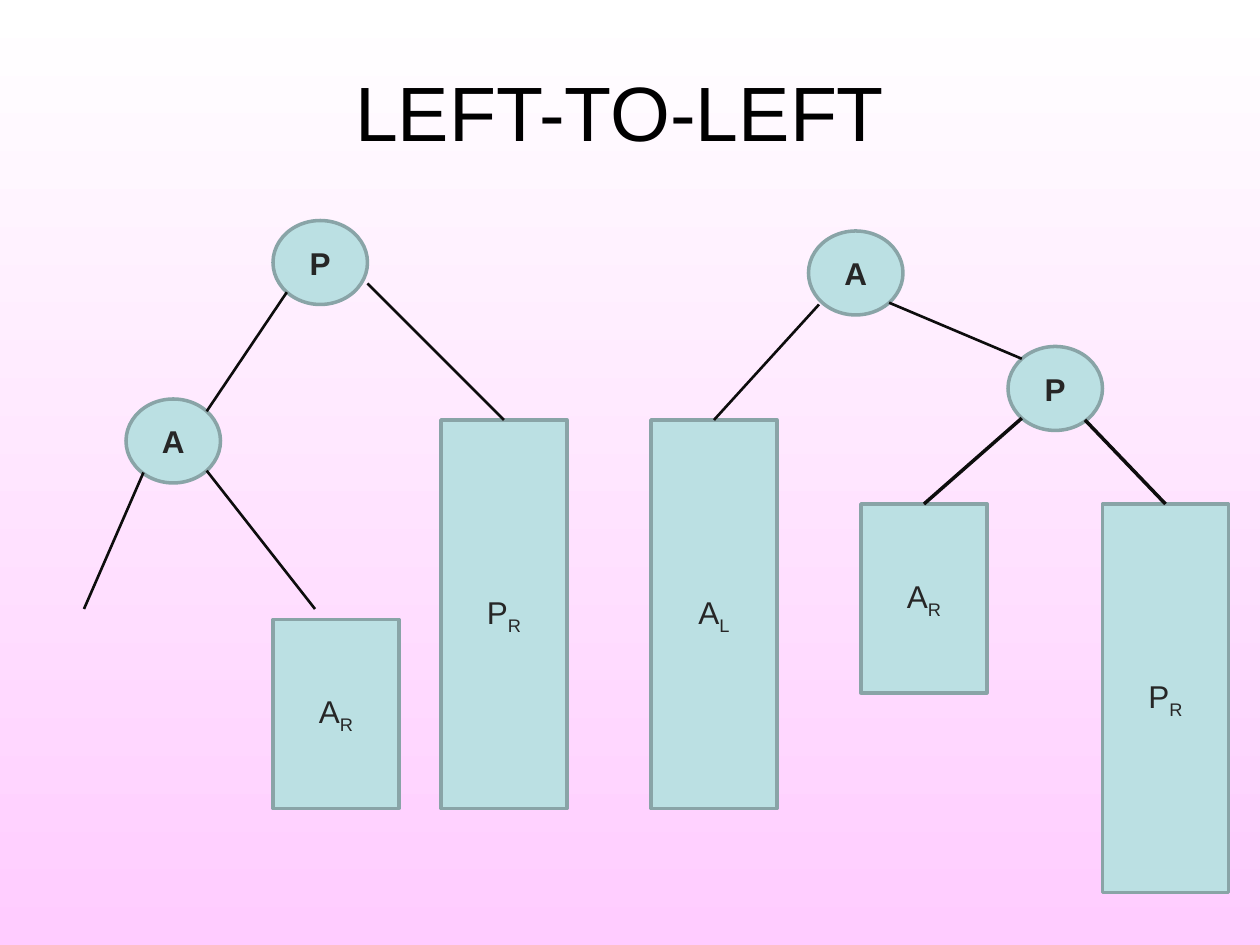
"""Build a slide showing the left-to-left tree rotation before and after."""
from math import sqrt

from lxml import etree
from pptx import Presentation
from pptx.dml.color import RGBColor
from pptx.enum.shapes import MSO_CONNECTOR, MSO_SHAPE
from pptx.enum.text import MSO_ANCHOR, PP_ALIGN
from pptx.oxml.ns import qn
from pptx.util import Pt

TITLE = "LEFT-TO-LEFT "
THEME = {
    "font": "Arial", "title_size": 44, "label_size": 18,
    "title": "000000", "label": "262626", "fill": "BBE0E3",
    "outline": "89A4A7", "edge": "0D0D0D",
    "background": ("FFFFFF", "FFCCFF"),
}
NODE_SIZE = (54, 48)
SUBTREE_WIDTH = 72
SHORT, TALL = 108, 222

NODES = {
    "before P": ("P", 156, 126),
    "before A": ("A", 72, 228),
    "after A": ("A", 462, 132),
    "after P": ("P", 576, 198),
}
SUBTREES = {
    "before AR": ("A", "R", 156, 354, SHORT),
    "before PR": ("P", "R", 252, 240, TALL),
    "after AL": ("A", "L", 372, 240, TALL),
    "after AR": ("A", "R", 492, 288, SHORT),
    "after PR": ("P", "R", 630, 288, TALL),
}
DIAGONALS = {"NW": (-1, -1), "NE": (1, -1), "SW": (-1, 1), "SE": (1, 1)}
EDGES = [
    (("before P", "SW"), ("before A", "NE"), 1.5),
    ((82, 270), (48, 348), 1.5),
    (("before A", "SE"), (180, 348), 1.5),
    ((210, 162), "before PR", 1.5),
    (("after A", "SE"), ("after P", "NW"), 1.5),
    ((468, 174), "after AL", 1.5),
    (("after P", "SW"), "after AR", 2),
    ((620, 240), "after PR", 2),
]


def color(name):
    return RGBColor.from_string(THEME[name])


def style_run(run, size, ink, bold=False):
    run.font.name = THEME["font"]
    run.font.size = Pt(THEME[size])
    run.font.color.rgb = color(ink)
    run.font.bold = bold


def add_labelled(slide, kind, box, letter, subscript=""):
    shape = slide.shapes.add_shape(kind, *map(Pt, box))
    shape.shadow.inherit = False
    shape.fill.solid()
    shape.fill.fore_color.rgb = color("fill")
    shape.line.color.rgb = color("outline")
    shape.line.width = Pt(2)
    shape.text_frame.vertical_anchor = MSO_ANCHOR.MIDDLE
    paragraph = shape.text_frame.paragraphs[0]
    paragraph.alignment = PP_ALIGN.CENTER
    for text in filter(None, (letter, subscript)):
        run = paragraph.add_run()
        run.text = text
        style_run(run, "label_size", "label", bold=not subscript)
    if subscript:
        run._r.get_or_add_rPr().set("baseline", "-25000")
    return shape


def locate(end):
    """Return the point of an edge end in points."""
    if isinstance(end, str):
        _, _, left, top, _ = SUBTREES[end]
        return left + SUBTREE_WIDTH / 2, top
    if end[0] in NODES:
        _, left, top = NODES[end[0]]
        width, height = NODE_SIZE
        across, down = DIAGONALS[end[1]]
        return (left + width / 2 * (1 + across / sqrt(2)),
                top + height / 2 * (1 + down / sqrt(2)))
    return end


def add_edge(slide, start, end, weight, subtrees):
    points = map(Pt, (*locate(start), *locate(end)))
    edge = slide.shapes.add_connector(MSO_CONNECTOR.STRAIGHT, *points)
    edge.line.color.rgb = color("edge")
    edge.line.width = Pt(weight)
    etree.SubElement(edge._element.spPr, qn("a:effectLst"))
    if isinstance(end, str):
        edge.end_connect(subtrees[end], 0)


def add_title(slide):
    title = slide.shapes.title
    title.left, title.top, title.width, title.height = map(Pt, (36, 18, 648, 90))
    title.text_frame.text = TITLE
    title.text_frame.vertical_anchor = MSO_ANCHOR.MIDDLE
    paragraph = title.text_frame.paragraphs[0]
    paragraph.alignment = PP_ALIGN.CENTER
    style_run(paragraph.runs[0], "title_size", "title")


def paint_background(slide):
    fill = slide.background.fill
    fill.gradient()
    fill.gradient_angle = 270
    for stop, position, shade in zip(fill.gradient_stops, (0, 1), THEME["background"]):
        stop.position = position
        stop.color.rgb = RGBColor.from_string(shade)


def main():
    deck = Presentation()
    deck.slide_width, deck.slide_height = Pt(720), Pt(540)
    slide = deck.slides.add_slide(deck.slide_layouts[5])
    paint_background(slide)
    add_title(slide)
    for letter, left, top in NODES.values():
        add_labelled(slide, MSO_SHAPE.OVAL, (left, top, *NODE_SIZE), letter)
    subtrees = {
        name: add_labelled(slide, MSO_SHAPE.RECTANGLE,
                           (left, top, SUBTREE_WIDTH, height), letter, side)
        for name, (letter, side, left, top, height) in SUBTREES.items()
    }
    for start, end, weight in EDGES:
        add_edge(slide, start, end, weight, subtrees)
    deck.save("out.pptx")


if __name__ == "__main__":
    main()
